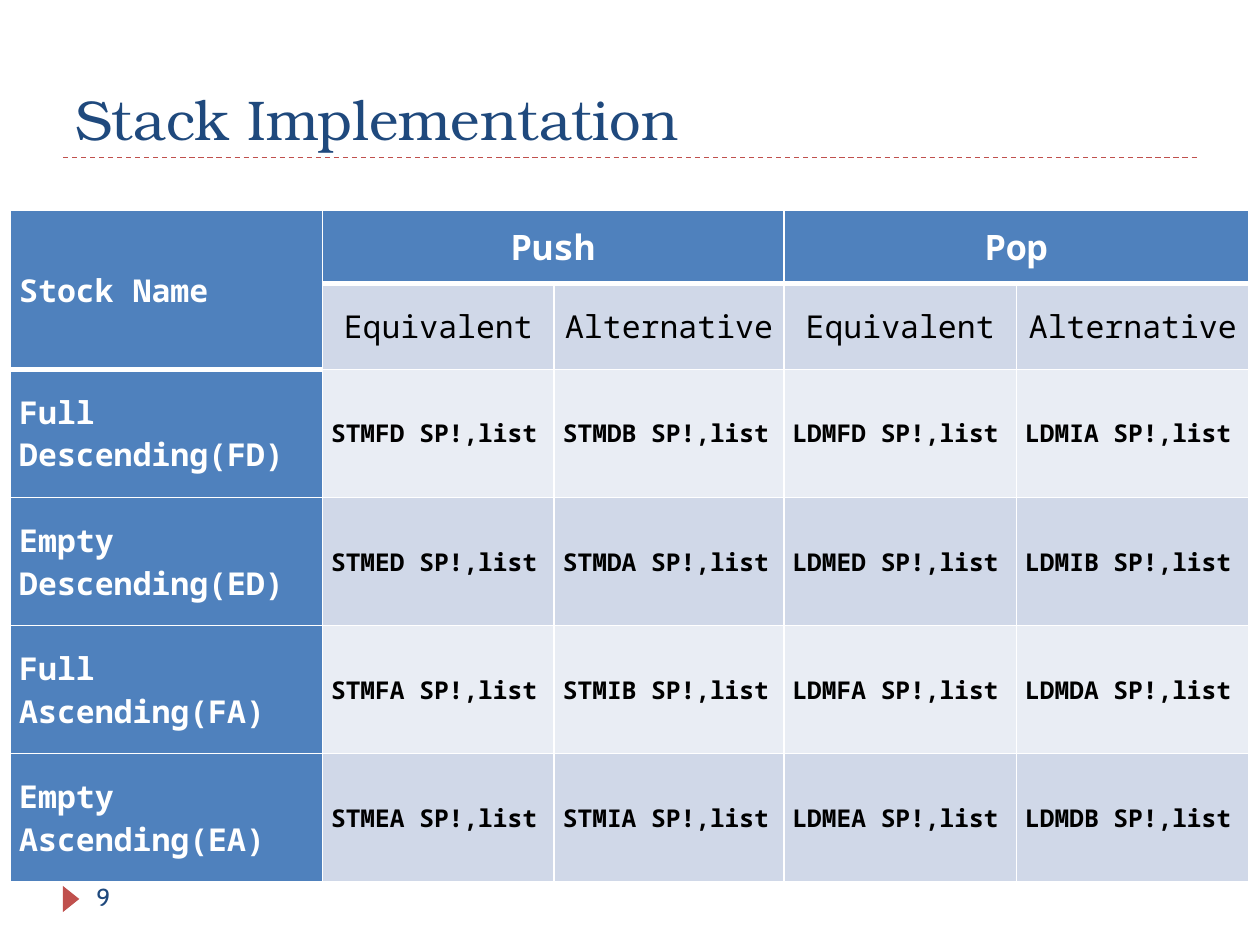
from lxml import etree
from pptx import Presentation
from pptx.dml.color import RGBColor
from pptx.enum import dml, shapes, text
from pptx.oxml import ns
from pptx.util import Pt

BLUE, NAVY, RED, WHITE, BLACK = "4F81BD", "1F497D", "C0504D", "FFFFFF", "000000"
BANDS = ["D0D8E8", "E9EDF4"]
MONO = "Noto Sans Mono"


def rgb(code):
    return RGBColor.from_string(code)


def write(frame, words, size, face, color, bold=False, align=text.PP_ALIGN.LEFT):
    frame.text = words
    frame.word_wrap = True
    para = frame.paragraphs[0]
    para.alignment = align
    font = para.runs[0].font
    font.size, font.name, font.bold = Pt(size), face, bold
    font.color.rgb = rgb(color)


deck = Presentation()
deck.slide_width, deck.slide_height = Pt(720), Pt(540)
slide = deck.slides.add_slide(deck.slide_layouts[6])
parts = slide.shapes

# Dashed rule below the title
rule = parts.add_connector(shapes.MSO_CONNECTOR.STRAIGHT, Pt(36), Pt(90), Pt(684), Pt(90))
rule.line.color.rgb = rgb(RED)
rule.line.width = Pt(0.75)
rule.line.dash_style = dml.MSO_LINE.DASH
etree.SubElement(rule._element.spPr, ns.qn("a:effectLst"))

# Page marker
mark = parts.add_shape(shapes.MSO_SHAPE.ISOSCELES_TRIANGLE, Pt(33.1), Pt(509), Pt(15), Pt(9.4))
mark.rotation = 90
mark.shadow.inherit = False
mark.fill.solid()
mark.fill.fore_color.rgb = rgb(RED)
mark.line.fill.background()

# Title and page number
title = parts.add_textbox(Pt(36), Pt(12.2), Pt(648), Pt(77.8)).text_frame
write(title, "Stack Implementation", 32, "TeX Gyre Bonum", NAVY)
title.vertical_anchor = text.MSO_ANCHOR.BOTTOM
page = parts.add_textbox(Pt(48), Pt(500.4), Pt(156), Pt(28.8)).text_frame
write(page, "9", 14, "Cabin", NAVY)

# Table content
rows = [
    ["Stock Name", "Push", "", "Pop", ""],
    ["", "Equivalent", "Alternative", "Equivalent", "Alternative"],
]
modes = [
    ("Full Descending", "FD", "DB", "IA"),
    ("Empty Descending", "ED", "DA", "IB"),
    ("Full Ascending", "FA", "IB", "DA"),
    ("Empty Ascending", "EA", "IA", "DB"),
]
for name, code, push, pop in modes:
    calls = ["STM" + code, "STM" + push, "LDM" + code, "LDM" + pop]
    rows.append([f"{name}({code})"] + [f"{call} SP!,list" for call in calls])

# Table grid
widths = [178.2, 132.5, 131.2, 133, 133]
heights = [41.8, 49] + [73.2] * 4
grid = parts.add_table(6, 5, Pt(6), Pt(120.3), Pt(sum(widths)), Pt(sum(heights))).table
for col, width in zip(grid.columns, widths):
    col.width = Pt(width)
for row, height in zip(grid.rows, heights):
    row.height = Pt(height)
grid.cell(0, 0).merge(grid.cell(1, 0))
grid.cell(0, 1).merge(grid.cell(0, 2))
grid.cell(0, 3).merge(grid.cell(0, 4))

# Cell borders, fills and text
for r, row in enumerate(rows):
    for c, words in enumerate(row):
        cell = grid.cell(r, c)
        head = r == 0 or c == 0
        cell.margin_left = cell.margin_right = Pt(5)
        cell.margin_top = cell.margin_bottom = 0
        cell.vertical_anchor = text.MSO_ANCHOR.MIDDLE
        above = 3 if (r == 1 and c) or (r == 2 and c == 0) else 1
        below = 3 if r == 0 or (r == 1 and c == 0) else 1
        props = cell._tc.get_or_add_tcPr()
        for side, width in zip("LRTB", [1, 1, above, below]):
            edge = etree.SubElement(props, ns.qn("a:ln" + side), w=str(Pt(width)))
            fill = etree.SubElement(edge, ns.qn("a:solidFill"))
            etree.SubElement(fill, ns.qn("a:srgbClr"), val=WHITE)
        cell.fill.solid()
        cell.fill.fore_color.rgb = rgb(BLUE if head else BANDS[(r + 1) % 2])
        if not words:
            continue
        if c == 0:
            size, align = 18, text.PP_ALIGN.LEFT
        elif r < 2:
            size, align = [20, 18][r], text.PP_ALIGN.CENTER
        else:
            size, align = 14, text.PP_ALIGN.JUSTIFY
        write(cell.text_frame, words, size, MONO, WHITE if head else BLACK, head or r > 1, align)

deck.save("out.pptx")
